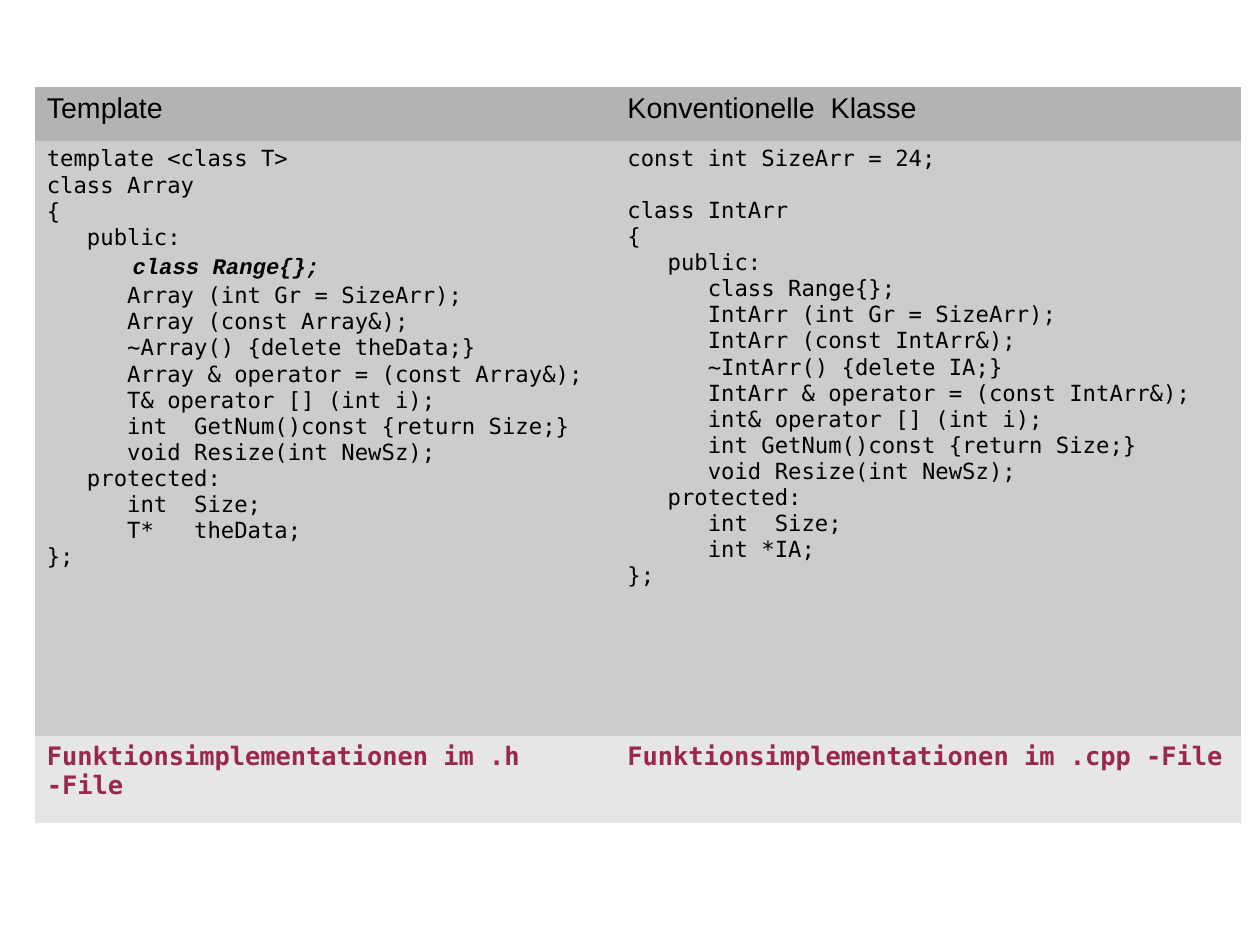
"""Build a slide comparing a C++ class template with a conventional class."""
from dataclasses import dataclass

from pptx import Presentation
from pptx.dml.color import RGBColor
from pptx.oxml.ns import qn
from pptx.util import Cm, Inches, Pt


@dataclass(frozen=True)
class Theme:
    """Colours, fonts and type sizes of the slide."""
    text: str = "000000"
    accent: str = "99284C"
    row_fills: tuple = ("B3B3B3", "CCCCCC", "E6E6E6")
    heading_font: str = "Arial"
    code_font: str = "DejaVu Sans Mono"
    emphasis_font: str = "Courier New"
    heading_size: int = 18
    code_size: int = 14
    footer_size: int = 16


theme = Theme()
NO_STYLE = "{2D5ABB26-0587-4C30-8999-92F81FD0307C}"
COLUMN_WIDTHS = (5.08, 5.47)
ROW_HEIGHTS = (0.47, 5.21, 0.76)
HEADINGS = ("Template", "Konventionelle  Klasse")
FOOTERS = ("Funktionsimplementationen im .h -File",
           "Funktionsimplementationen im .cpp -File")
EMPHASIS = "     class Range{};"
SECTION_START = "class IntArr"

TEMPLATE_CODE = """template <class T>
class Array
{
   public:
     class Range{};
      Array (int Gr = SizeArr);
      Array (const Array&);
      ~Array() {delete theData;}
      Array & operator = (const Array&);
      T& operator [] (int i);
      int  GetNum()const {return Size;}
      void Resize(int NewSz);
   protected:
      int  Size;
      T*   theData;
};"""

CLASS_CODE = """const int SizeArr = 24;
class IntArr
{
   public:
      class Range{};
      IntArr (int Gr = SizeArr);
      IntArr (const IntArr&);
      ~IntArr() {delete IA;}
      IntArr & operator = (const IntArr&);
      int& operator [] (int i);
      int GetNum()const {return Size;}
      void Resize(int NewSz);
   protected:
      int  Size;
      int *IA;
};"""


def style(font, name, size, color=theme.text, bold=False, italic=False):
    """Apply a typeface, size, colour and weight to a font."""
    font.name, font.size = name, Pt(size)
    font.bold, font.italic = bold, italic
    font.color.rgb = RGBColor.from_string(color)


deck = Presentation()
deck.slide_width, deck.slide_height = Cm(28), Cm(21)
page = deck.slides.add_slide(deck.slide_layouts[6])

frame = page.shapes.add_table(
    len(ROW_HEIGHTS), len(COLUMN_WIDTHS), Inches(0.31), Inches(0.76),
    Inches(sum(COLUMN_WIDTHS)), Inches(sum(ROW_HEIGHTS)))
next(frame.element.iter(qn("a:tableStyleId"))).text = NO_STYLE
table = frame.table
table.first_row = table.horz_banding = False
for column, width in zip(table.columns, COLUMN_WIDTHS):
    column.width = Inches(width)
for row, height, fill in zip(table.rows, ROW_HEIGHTS, theme.row_fills):
    row.height = Inches(height)
    for cell in row.cells:
        cell.fill.solid()
        cell.fill.fore_color.rgb = RGBColor.from_string(fill)

for index, (heading, code, footer) in enumerate(
        zip(HEADINGS, (TEMPLATE_CODE, CLASS_CODE), FOOTERS)):
    para = table.cell(0, index).text_frame.paragraphs[0]
    para.text = heading
    style(para.font, theme.heading_font, theme.heading_size)

    box = table.cell(1, index).text_frame
    box.text = code
    for para in box.paragraphs:
        if para.text == EMPHASIS:
            statement = para.text.lstrip()
            indent = para.text.removesuffix(statement)
            para.clear()
            for words, size in ((indent, theme.heading_size),
                                (statement, theme.code_size)):
                span = para.add_run()
                span.text = words
                style(span.font, theme.emphasis_font, size,
                      bold=True, italic=True)
        else:
            style(para.font, theme.code_font, theme.code_size)
        if para.text == SECTION_START:
            para.space_before = Pt(16)

    para = table.cell(2, index).text_frame.paragraphs[0]
    para.text = footer
    style(para.font, theme.code_font, theme.footer_size,
          theme.accent, bold=True)

deck.save("out.pptx")
